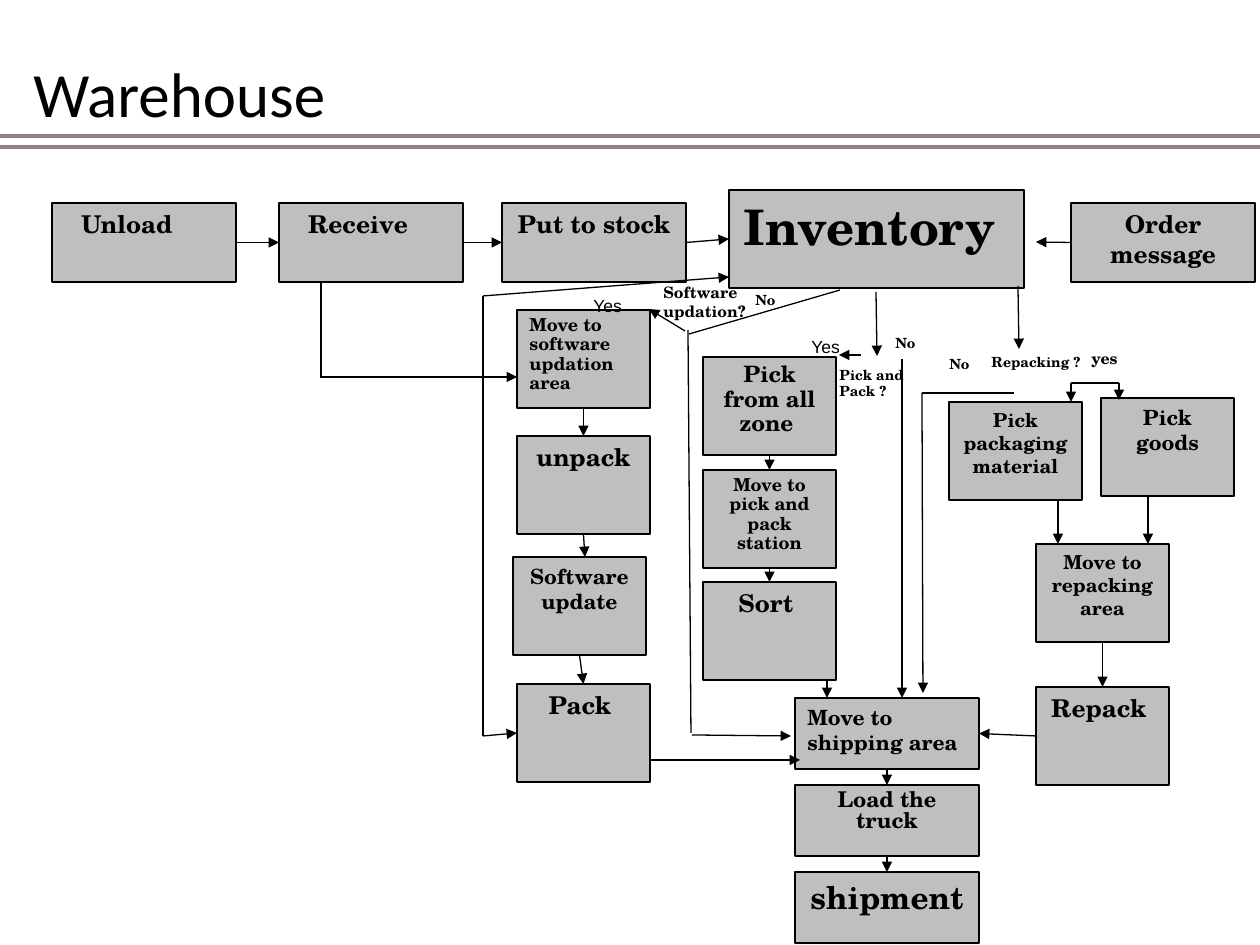
from lxml.etree import SubElement
from pptx import Presentation
from pptx.dml.color import RGBColor
from pptx.enum.shapes import MSO_CONNECTOR, MSO_SHAPE
from pptx.enum.text import MSO_ANCHOR, MSO_AUTO_SIZE, PP_ALIGN
from pptx.oxml.ns import qn
from pptx.util import Emu, Pt

BLACK = RGBColor(0x00, 0x00, 0x00)
GREY = RGBColor(0xBF, 0xBF, 0xBF)
RULE = RGBColor(0x91, 0x84, 0x85)
SERIF = "TeX Gyre Schola"
WIDE, SMALL, LOW = (184, 79), (133, 98), (184, 71)
TOP, LEFT, BOTTOM, RIGHT = range(4)


def px(length):
    return Emu(round(length * 914400 / 126))


def write(frame, text, size=14, font=SERIF, bold=True, align=PP_ALIGN.LEFT, spacing=None):
    frame.word_wrap = True
    frame.vertical_anchor = MSO_ANCHOR.TOP
    paragraph = frame.paragraphs[0]
    paragraph.alignment = align
    if spacing:
        paragraph.line_spacing = spacing
    run = paragraph.add_run()
    run.text = text
    run.font.size = Pt(size)
    run.font.name = font
    run.font.bold = bold
    run.font.color.rgb = BLACK


class Flowchart:
    """Draws boxes, labels and lines of one style on the current slide."""

    def __init__(self, slide):
        self.shapes = slide.shapes

    def box(self, text, left, top, extent=SMALL, indent=None, align=PP_ALIGN.CENTER, **style):
        box = self.shapes.add_shape(MSO_SHAPE.RECTANGLE, px(left), px(top), *map(px, extent))
        box.shadow.inherit = False
        box.fill.solid()
        box.fill.fore_color.rgb = GREY
        box.line.color.rgb = BLACK
        box.line.width = Pt(0.75)
        if indent:
            box.text_frame.margin_left = px(indent)
            align = PP_ALIGN.LEFT
        write(box.text_frame, text, align=align, **style)
        return box

    def label(self, text, left, top, width, height, **style):
        label = self.shapes.add_textbox(*map(px, (left, top, width, height)))
        write(label.text_frame, text, **style)
        label.text_frame.auto_size = MSO_AUTO_SIZE.SHAPE_TO_FIT_TEXT

    def line(self, start, end, arrow=True, color=BLACK, width=0.75):
        """Joins two ends, each a point in px or a (box, side) pair."""
        start_joined, end_joined = (not isinstance(e[0], int) for e in (start, end))
        origin = (0, 0) if start_joined else start
        target = (0, 0) if end_joined else end
        line = self.shapes.add_connector(MSO_CONNECTOR.STRAIGHT, *map(px, origin + target))
        if start_joined:
            line.begin_connect(*start)
        if end_joined:
            line.end_connect(*end)
        line.line.color.rgb = color
        line.line.width = Pt(width)
        if arrow:
            SubElement(line.line._get_or_add_ln(), qn("a:tailEnd"), type="triangle")
        SubElement(line._element.spPr, qn("a:effectLst"))


def main():
    deck = Presentation()
    deck.slide_width, deck.slide_height = px(1260), px(945)
    chart = Flowchart(deck.slides.add_slide(deck.slide_layouts[6]))

    chart.label("Warehouse", 21, 48, 1029, 88, size=36, font="Calibri", bold=False)
    for y in (147, 136):
        chart.line((0, y), (1260, y), arrow=False, color=RULE, width=2)

    unload = chart.box("Unload", 52, 203, WIDE, indent=29)
    order = chart.box("Order message", 1071, 203, WIDE)
    stock = chart.box("Put to stock", 502, 203, WIDE)
    receive = chart.box("Receive", 279, 203, WIDE, indent=29)
    inventory = chart.box("Inventory ", 729, 190, (295, 98), size=28)

    update_area = chart.box("Move to software updation area", 517, 310, size=10.2,
                            align=PP_ALIGN.LEFT, spacing=0.9)
    unpack = chart.box("unpack", 517, 436)
    update = chart.box("Software update", 513, 557, size=12)
    pack = chart.box("Pack ", 517, 684)

    pick_zone = chart.box("Pick from all zone ", 703, 357, size=12.9, spacing=0.9)
    station = chart.box("Move to pick and pack station", 703, 470, size=10.2, spacing=0.9)
    sort = chart.box("Sort ", 703, 582)

    chart.box("Pick packaging material", 949, 402, size=11)
    chart.box("Pick goods", 1101, 398, size=12)
    repack_area = chart.box("Move to repacking area", 1036, 544, size=11)
    repack = chart.box("Repack ", 1036, 687)

    shipping = chart.box("Move to shipping area", 795, 698, LOW, size=12, align=PP_ALIGN.LEFT)
    load = chart.box("Load the truck", 795, 785, LOW, size=12.4, spacing=0.8)
    shipment = chart.box("shipment", 795, 872, LOW, size=18)

    for source, target in ((unload, receive), (receive, stock), (stock, inventory)):
        chart.line((source, RIGHT), (target, LEFT))
    for source, target in ((update_area, unpack), (update, pack), (pick_zone, station),
                           (station, sort), (repack_area, repack), (shipping, load),
                           (load, shipment)):
        chart.line((source, BOTTOM), (target, TOP))

    for start, end in (
        ((order, LEFT), (1036, 242)),
        ((320, 377), (517, 377)),
        ((483, 736), (pack, LEFT)),
        ((483, 296), (729, 277)),
        ((692, 735), (791, 736)),
        ((649, 760), (800, 760)),
        ((unpack, BOTTOM), (585, 557)),
        ((685, 331), (649, 309)),
        ((876, 292), (877, 356)),
        ((861, 355), (839, 355)),
        ((902, 359), (902, 698)),
        ((922, 393), (923, 693)),
        ((827, 680), (827, 698)),
        ((1018, 286), (1019, 349)),
        ((1071, 383), (1071, 402)),
        ((1119, 383), (1119, 400)),
        ((1058, 499), (1058, 544)),
        ((1148, 496), (1148, 544)),
        ((repack, LEFT), (shipping, RIGHT)),
    ):
        chart.line(start, end)
    for start, end in (
        ((321, 282), (321, 377)),
        ((483, 296), (483, 736)),
        ((688, 330), (691, 733)),
        ((689, 334), (840, 290)),
        ((922, 393), (1014, 393)),
        ((1071, 383), (1119, 383)),
    ):
        chart.line(start, end, arrow=False)

    for left, top in ((581, 289), (799, 330)):
        chart.label("Yes", left, top, 74, 34, size=10, font="Arial", bold=False)
    for left, top, width in ((937, 349, 47), (743, 285, 57), (883, 328, 57)):
        chart.label("No", left, top, width, 30, size=8)
    chart.label("Pick and Pack ?", 827, 360, 120, 47, size=8)
    chart.label("Repacking ?", 979, 347, 120, 30, size=8)
    chart.label("yes", 1079, 343, 63, 32, size=9)
    chart.label("Software updation?", 651, 277, 118, 50, size=9)

    deck.save("out.pptx")


if __name__ == "__main__":
    main()
